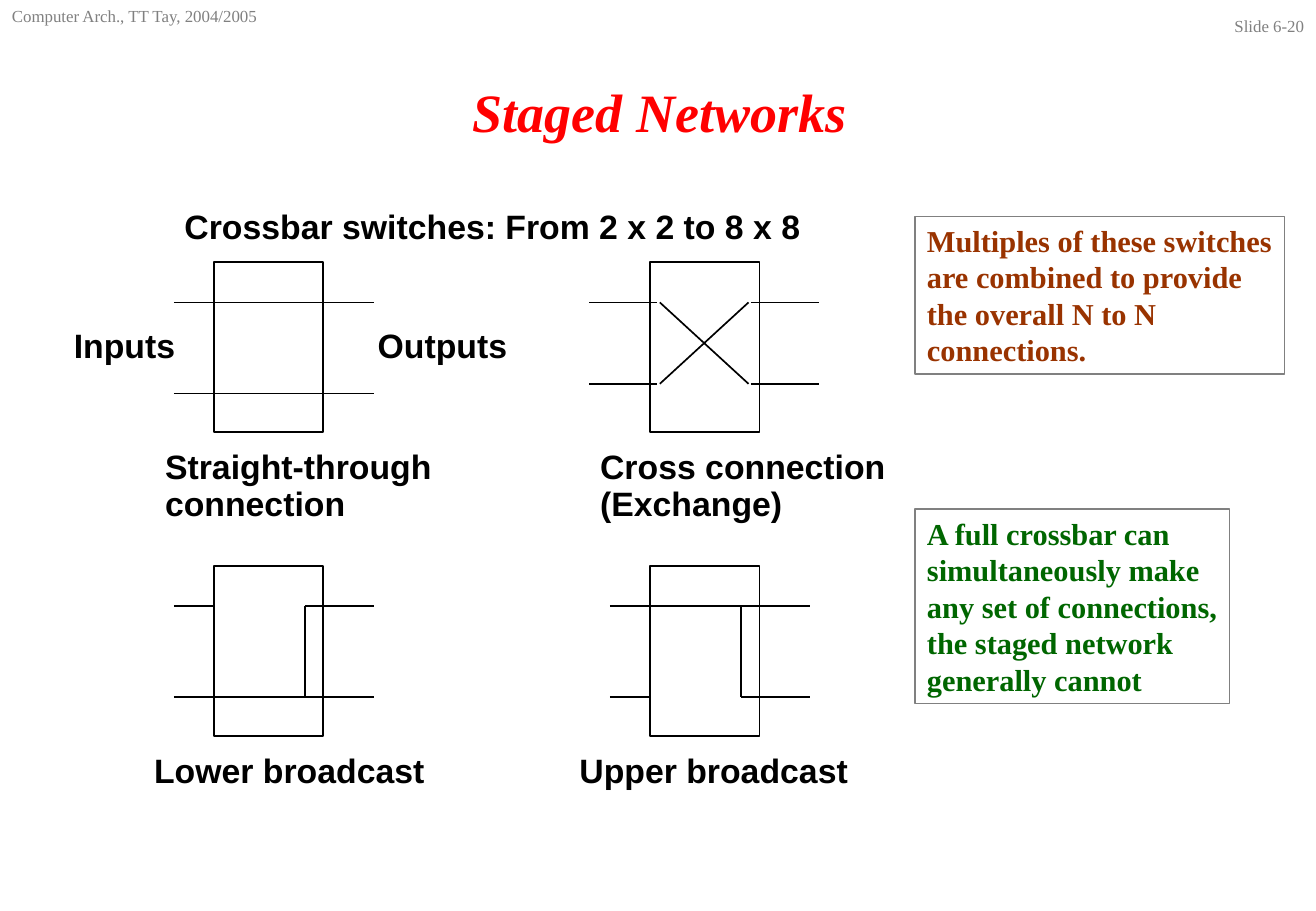
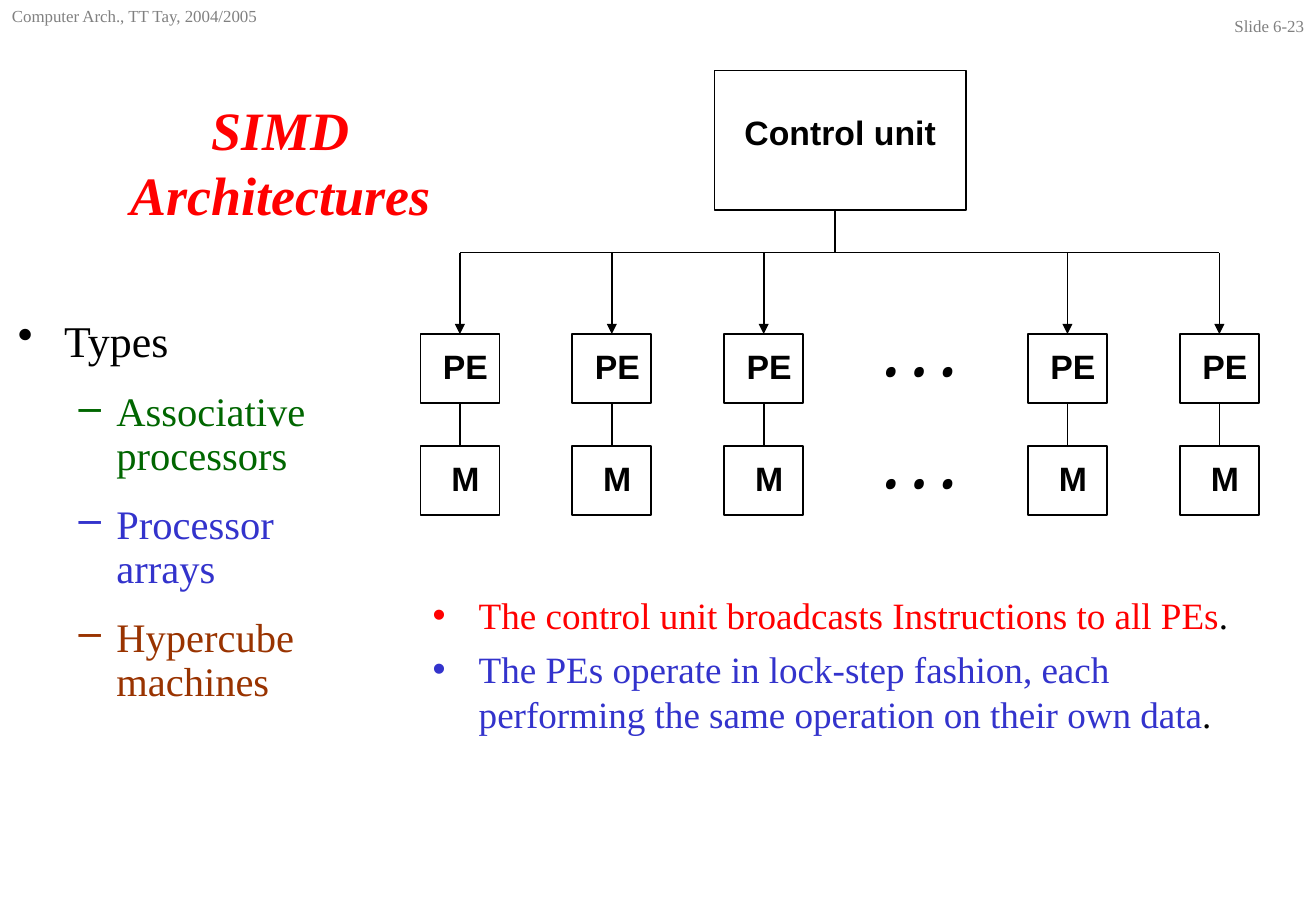
from dataclasses import dataclass
from typing import Any, Optional

import lxml.etree
import pptx
import pptx.dml.color
import pptx.enum.shapes
import pptx.enum.text
import pptx.oxml.ns
import pptx.util

RGB = pptx.dml.color.RGBColor
ALIGN = pptx.enum.text.PP_ALIGN
FIT = pptx.enum.text.MSO_AUTO_SIZE
Inches = pptx.util.Inches
Pt = pptx.util.Pt
qn = pptx.oxml.ns.qn

BLACK = RGB(0x00, 0x00, 0x00)
GREY = RGB(0x80, 0x80, 0x80)
RED = RGB(0xFF, 0x00, 0x00)
BLUE = RGB(0x33, 0x33, 0xCC)
GREEN = RGB(0x00, 0x66, 0x00)
BROWN = RGB(0x99, 0x33, 0x00)

SLIDE_WIDTH, SLIDE_HEIGHT = 10.83, 7.5
TITLE_LEFT, TITLE_TOP = 0.83, 0.58


@dataclass(frozen=True)
class TextStyle:
    font: str
    size: float
    colour: RGB = BLACK
    bold: bool = False
    italic: bool = False
    align: Any = ALIGN.LEFT
    spacing: float = 1.0


HEADER = TextStyle("Times New Roman", 10, GREY)
PAGE = TextStyle("Times New Roman", 10, GREY, align=ALIGN.RIGHT)
TITLE = TextStyle("Times New Roman", 32, RED, True, True, ALIGN.CENTER)
LABEL = TextStyle("Arial", 20, bold=True, spacing=0.9)
NODE = TextStyle("Arial", 20, bold=True, align=ALIGN.CENTER, spacing=0.9)
DOTS = TextStyle("Cambria", 40, bold=True, italic=True, align=ALIGN.CENTER, spacing=0.9)


@dataclass(frozen=True)
class BulletStyle:
    mark: str
    size: float
    margin: float
    hang: float
    before: float
    spacing: float
    level: int = 0


FACT = BulletStyle("•", 22, 0.38, 0.38, 5.5, 1.0)
TOPIC = BulletStyle("•", 26, 0.38, 0.38, 16.2, 0.9)
SUBTOPIC = BulletStyle("–", 24, 0.81, 0.31, 15, 0.9, 1)


@dataclass(frozen=True)
class Bullet:
    text: str
    colour: RGB
    style: BulletStyle
    ending: str = ""


@dataclass(frozen=True)
class Wire:
    """A line in inches from the top left corner of its switch."""
    x1: float
    y1: float
    x2: float
    y2: float


@dataclass(frozen=True)
class Switch:
    column: int
    row: int
    caption: str
    caption_shift: float
    caption_width: float
    caption_height: float
    wires: tuple[Wire, ...]


@dataclass(frozen=True)
class Note:
    top: float
    width: float
    height: float
    colour: RGB
    lines: tuple[str, ...]


SWITCH_WIDTH, SWITCH_HEIGHT = 0.9, 1.4
SWITCH_LEFT, SWITCH_TOP = 1.76, 2.16
SWITCH_PITCH_X, SWITCH_PITCH_Y = 3.59, 2.5
CAPTION_DROP = 1.5
# Wire ends and port heights within a switch
START, END = -0.33, 1.32
UPPER, LOWER, CROSS_LOWER = 0.33, 1.08, 1.0
TAP = 0.75

SWITCHES = (
    Switch(0, 0, "Straight-through connection", -0.5, 2.41, 0.7,
           tuple(Wire(START, y, END, y) for y in (UPPER, LOWER))),
    Switch(1, 0, "Cross connection (Exchange)", -0.51, 2.58, 0.7,
           tuple(Wire(x, y, x + 0.56, y) for x in (-0.5, 0.83) for y in (UPPER, CROSS_LOWER))
           + (Wire(0.08, UPPER, 0.81, CROSS_LOWER), Wire(0.08, CROSS_LOWER, 0.81, UPPER))),
    Switch(0, 1, "Lower broadcast", -0.59, 2.66, 0.4,
           (Wire(START, UPPER, 0, UPPER), Wire(TAP, UPPER, END, UPPER),
            Wire(START, LOWER, END, LOWER), Wire(TAP, UPPER, TAP, LOWER))),
    Switch(1, 1, "Upper broadcast", -0.68, 2.66, 0.4,
           (Wire(START, LOWER, 0, LOWER), Wire(TAP, LOWER, END, LOWER),
            Wire(START, UPPER, END, UPPER), Wire(TAP, UPPER, TAP, LOWER))),
)

NOTE_LEFT = 7.53
NOTES = (
    Note(1.78, 3.04, 1.3, BROWN,
         ("Multiples of these switches", "are combined to provide",
          "the overall N to N", "connections.")),
    Note(4.19, 2.59, 1.6, GREEN,
         ("A full crossbar can", "simultaneously make", "any set of connections,",
          "the staged network", "generally cannot")),
)

NODE_WIDTH, NODE_HEIGHT = 0.65, 0.57
NODE_LEFT, NODE_PITCH = 3.46, 1.25
NODE_COLUMNS = (0, 1, 2, 4, 5)
DOTS_COLUMN = 3
PE_TOP, MEMORY_TOP = 2.75, 3.67
BUS_Y = 2.08
CONTROL_BOTTOM = 1.73

FACTS = (
    Bullet("The control unit broadcasts Instructions to all PEs", RED, FACT, "."),
    Bullet("The PEs operate in lock-step fashion, each performing the same operation "
           "on their own data", BLUE, FACT, "."),
)
TYPES = (
    Bullet("Types", BLACK, TOPIC),
    Bullet("Associative processors", GREEN, SUBTOPIC),
    Bullet("Processor arrays", BLUE, SUBTOPIC),
    Bullet("Hypercube machines", BROWN, SUBTOPIC),
)


def place(shape: Any, left: float, top: float, width: float, height: float) -> None:
    shape.left, shape.top = Inches(left), Inches(top)
    shape.width, shape.height = Inches(width), Inches(height)


def add_run(paragraph: Any, text: str, style: TextStyle) -> None:
    run = paragraph.add_run()
    run.text = text
    run.font.name = style.font
    run.font.size = Pt(style.size)
    run.font.bold = style.bold
    run.font.italic = style.italic
    run.font.color.rgb = style.colour


def write(frame: Any, lines: tuple[str, ...], style: TextStyle) -> None:
    for index, line in enumerate(lines):
        paragraph = frame.add_paragraph() if index else frame.paragraphs[0]
        paragraph.alignment = style.align
        paragraph.line_spacing = style.spacing
        add_run(paragraph, line, style)


def add_text(slide: Any, text: str, left: float, top: float, width: float,
             height: float, style: TextStyle) -> None:
    box = slide.shapes.add_textbox(Inches(left), Inches(top), Inches(width), Inches(height))
    box.text_frame.word_wrap = True
    write(box.text_frame, (text,), style)


def add_box(slide: Any, left: float, top: float, width: float, height: float,
            line: RGB = BLACK, weight: float = 1) -> Any:
    box = slide.shapes.add_shape(pptx.enum.shapes.MSO_SHAPE.RECTANGLE, Inches(left),
                                 Inches(top), Inches(width), Inches(height))
    box.shadow.inherit = False
    box.fill.background()
    box.line.color.rgb = line
    box.line.width = Pt(weight)
    return box


def add_node(slide: Any, text: str, left: float, top: float, width: float, height: float,
             left_inset: float = 0, bottom_inset: float = 0) -> None:
    frame = add_box(slide, left, top, width, height).text_frame
    frame.word_wrap = True
    frame.vertical_anchor = pptx.enum.text.MSO_ANCHOR.MIDDLE
    frame.margin_left, frame.margin_bottom = Inches(left_inset), Inches(bottom_inset)
    frame.margin_right = frame.margin_top = 0
    write(frame, (text,), NODE)


def add_line(slide: Any, x1: float, y1: float, x2: float, y2: float,
             arrow: bool = False) -> None:
    line = slide.shapes.add_connector(pptx.enum.shapes.MSO_CONNECTOR.STRAIGHT,
                                      Inches(x1), Inches(y1), Inches(x2), Inches(y2))
    line.line.color.rgb = BLACK
    line.line.width = Pt(1)
    properties = line._element.spPr
    if arrow:
        lxml.etree.SubElement(properties.find(qn("a:ln")), qn("a:tailEnd"), type="triangle")
    lxml.etree.SubElement(properties, qn("a:effectLst"))


def write_bullets(frame: Any, bullets: tuple[Bullet, ...]) -> None:
    frame.word_wrap = True
    frame.auto_size = FIT.NONE
    for index, bullet in enumerate(bullets):
        style = bullet.style
        paragraph = frame.add_paragraph() if index else frame.paragraphs[0]
        properties = paragraph._p.get_or_add_pPr()
        properties.set("marL", str(Inches(style.margin)))
        properties.set("indent", str(-Inches(style.hang)))
        colour = lxml.etree.SubElement(properties, qn("a:buClr"))
        lxml.etree.SubElement(colour, qn("a:srgbClr"), val=str(bullet.colour))
        lxml.etree.SubElement(properties, qn("a:buChar"), char=style.mark)
        paragraph.level = style.level
        paragraph.line_spacing = style.spacing
        paragraph.space_before = Pt(style.before if index else 0)
        add_run(paragraph, bullet.text, TextStyle("Times New Roman", style.size, bullet.colour))
        if bullet.ending:
            add_run(paragraph, bullet.ending, TextStyle("Times New Roman", style.size))


def add_slide(deck: Any, layout: int, title: str, number: str,
              title_width: float, title_height: float) -> Any:
    """Add a slide with the running header, page number and title."""
    slide = deck.slides.add_slide(deck.slide_layouts[layout])
    add_text(slide, number, SLIDE_WIDTH - 1, 0.08, 1, 0.25, PAGE)
    add_text(slide, "Computer Arch., TT Tay, 2004/2005", 0, 0, 2.43, 0.33, HEADER)
    heading = slide.shapes.title
    place(heading, TITLE_LEFT, TITLE_TOP, title_width, title_height)
    heading.text_frame.auto_size = FIT.NONE
    write(heading.text_frame, (title,), TITLE)
    return slide


def draw_switch(slide: Any, switch: Switch) -> None:
    left = SWITCH_LEFT + switch.column * SWITCH_PITCH_X
    top = SWITCH_TOP + switch.row * SWITCH_PITCH_Y
    add_box(slide, left, top, SWITCH_WIDTH, SWITCH_HEIGHT)
    for wire in switch.wires:
        add_line(slide, left + wire.x1, top + wire.y1, left + wire.x2, top + wire.y2)
    add_text(slide, switch.caption, left + switch.caption_shift, top + CAPTION_DROP,
             switch.caption_width, switch.caption_height, LABEL)


def draw_note(slide: Any, note: Note) -> None:
    frame = add_box(slide, NOTE_LEFT, note.top, note.width, note.height, GREY, 0.75).text_frame
    frame.word_wrap = False
    frame.auto_size = FIT.SHAPE_TO_FIT_TEXT
    frame.vertical_anchor = pptx.enum.text.MSO_ANCHOR.TOP
    write(frame, note.lines, TextStyle("Times New Roman", 18, note.colour, True))


def build_networks(deck: Any) -> None:
    slide = add_slide(deck, 5, "Staged Networks", "Slide 6-20", 9.2, 0.67)
    add_text(slide, "Crossbar switches: From 2 x 2 to 8 x 8", 1.42, 1.68, 7.66, 0.4, LABEL)
    for switch in SWITCHES:
        draw_switch(slide, switch)
    add_text(slide, "Inputs", 0.51, 2.66, 1.16, 0.4, LABEL)
    add_text(slide, "Outputs", 3.01, 2.66, 1.5, 0.4, LABEL)
    for note in NOTES:
        draw_note(slide, note)


def build_simd(deck: Any) -> None:
    slide = add_slide(deck, 1, "SIMD Architectures", "Slide 6-23", 2.96, 1.5)
    add_node(slide, "Control unit", 5.88, TITLE_TOP, 2.07, CONTROL_BOTTOM - TITLE_TOP,
             bottom_inset=0.09)
    add_line(slide, 6.87, CONTROL_BOTTOM, 6.87, BUS_Y)
    lefts = [NODE_LEFT + column * NODE_PITCH for column in NODE_COLUMNS]
    centres = [left + NODE_WIDTH / 2 for left in lefts]
    add_line(slide, centres[0], BUS_Y, centres[-1], BUS_Y)
    for left, centre in zip(lefts, centres):
        add_line(slide, centre, BUS_Y, centre, PE_TOP, arrow=True)
        add_line(slide, centre, PE_TOP + NODE_HEIGHT, centre, MEMORY_TOP)
    for text, top in (("PE", PE_TOP), ("M", MEMORY_TOP)):
        for left in lefts:
            add_node(slide, text, left, top, NODE_WIDTH, NODE_HEIGHT, left_inset=0.09)
        add_text(slide, ". . .", NODE_LEFT + DOTS_COLUMN * NODE_PITCH - 0.25, top - 0.17,
                 NODE_PITCH, 0.7, DOTS)
    facts = slide.placeholders[1]
    place(facts, NODE_LEFT, 4.83, 6.91, 2.08)
    write_bullets(facts.text_frame, FACTS)
    types = slide.shapes.add_textbox(Inches(0.05), Inches(2.58), Inches(3.03), Inches(3.92))
    write_bullets(types.text_frame, TYPES)


def main() -> None:
    deck = pptx.Presentation()
    deck.slide_width, deck.slide_height = Inches(SLIDE_WIDTH), Inches(SLIDE_HEIGHT)
    build_networks(deck)
    build_simd(deck)
    deck.save("out.pptx")


if __name__ == "__main__":
    main()
